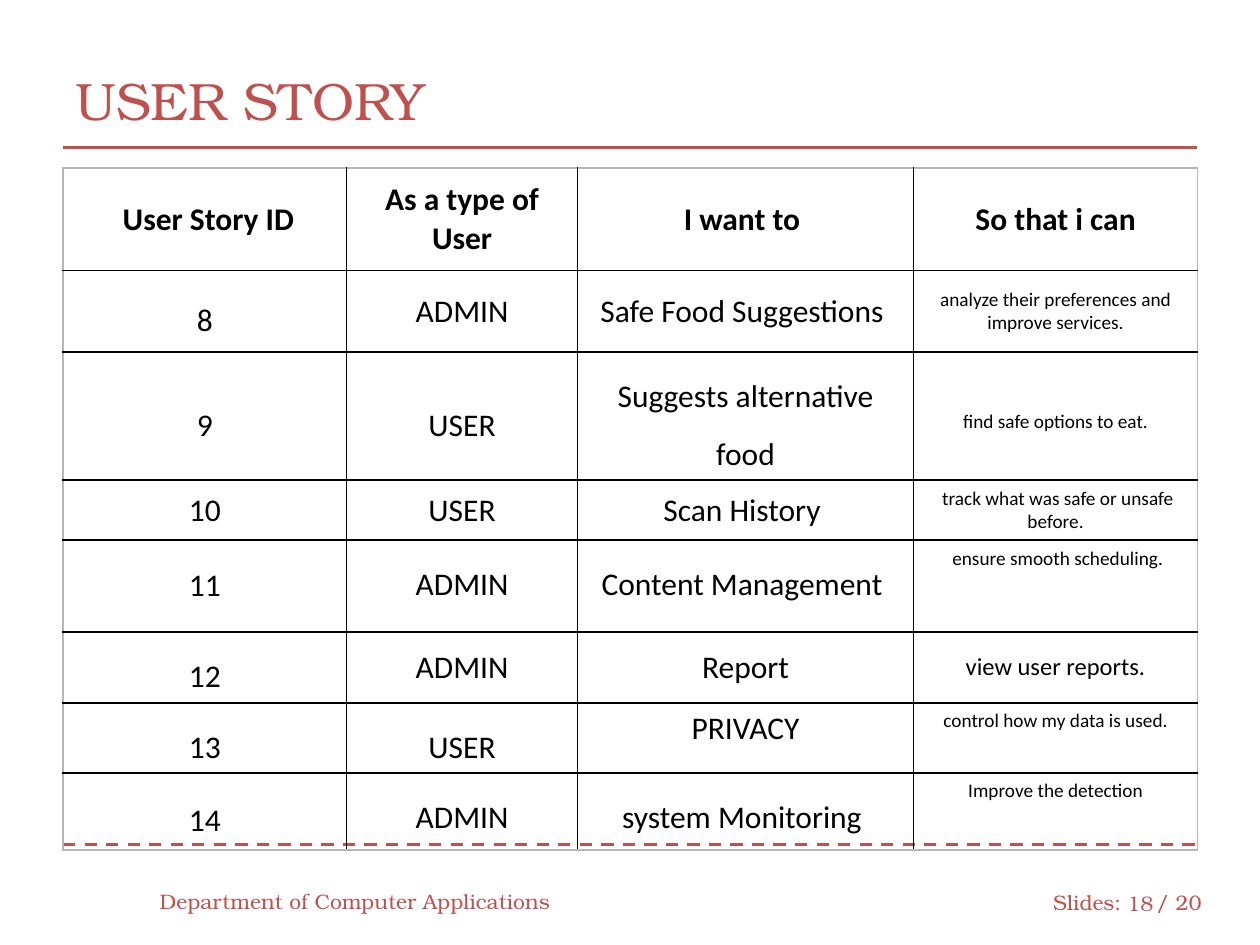
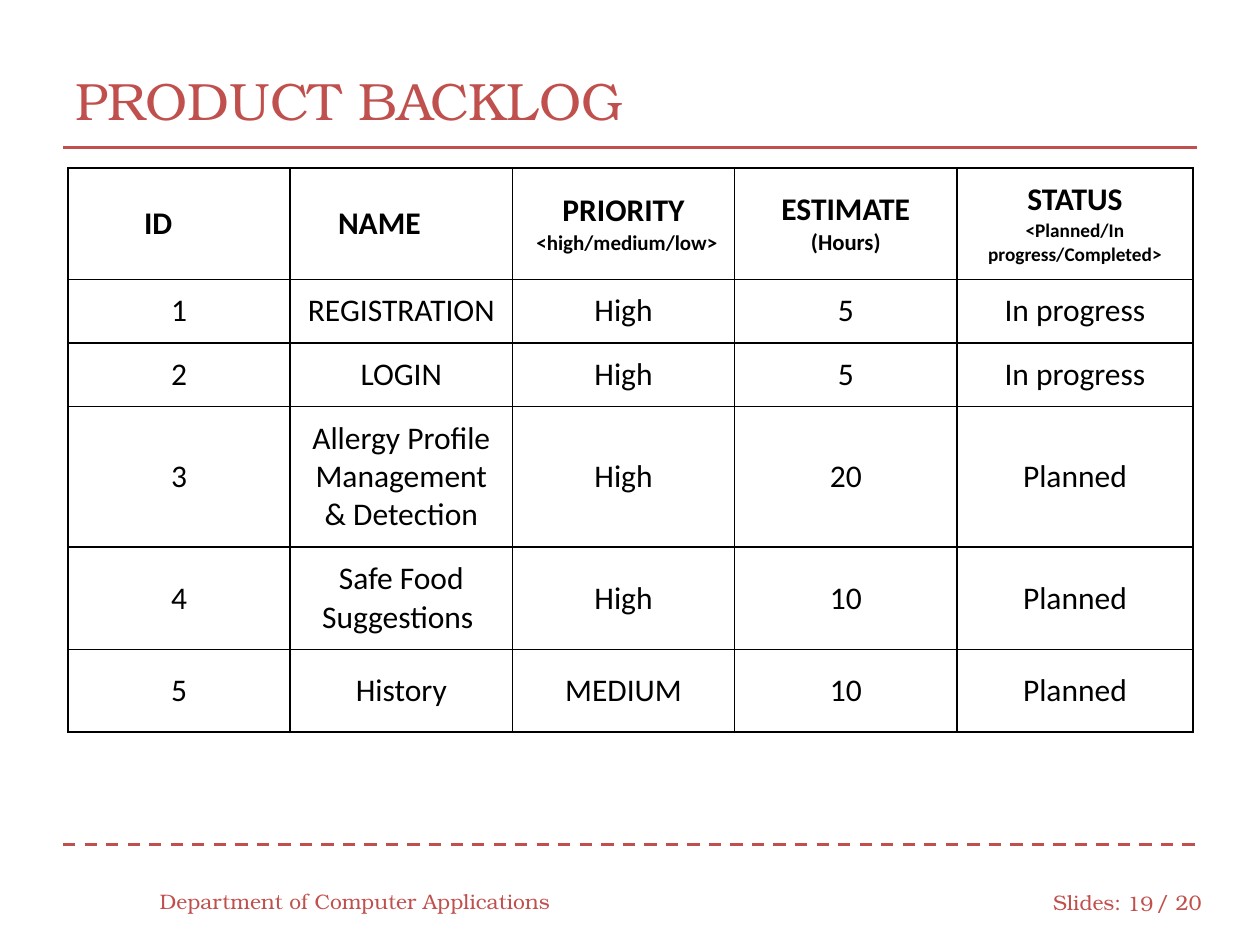
from dataclasses import dataclass

from lxml import etree
from pptx import Presentation, util as u
from pptx.dml.color import RGBColor
from pptx.enum import dml, shapes, text
from pptx.oxml.ns import qn

Cm, Pt = u.Cm, u.Pt
LEFT, CENTER, RIGHT = text.PP_ALIGN.LEFT, text.PP_ALIGN.CENTER, text.PP_ALIGN.RIGHT
TOP, MIDDLE = text.MSO_ANCHOR.TOP, text.MSO_ANCHOR.MIDDLE


# Theme: colours, fonts and type sizes
@dataclass(frozen=True)
class Theme:
    accent: str = "C0504D"
    ink: str = "000000"
    frame: str = "B7B7B7"
    paper: str = "FFFFFF"
    display: str = "TeX Gyre Bonum"
    body: str = "Calibri"
    title: int = 30
    cell: int = 18
    medium: int = 14
    hours: int = 13
    footer: int = 12
    small: int = 11
    rule: float = 1.75
    border: float = 1


@dataclass
class Para:
    """One paragraph of a table cell."""
    text: str
    size: int = Theme.cell
    bold: bool = False
    align: text.PP_ALIGN = CENTER
    spacing: float = 1
    indent: float = 0
    anchor: text.MSO_ANCHOR = MIDDLE


def write(p, words, *, font, size, color, bold=False, align=LEFT, spacing=1, indent=0):
    """Put formatted words into a paragraph."""
    p.alignment, p.line_spacing = align, spacing
    if indent:
        pPr = p._p.get_or_add_pPr()
        pPr.set("marL", str(Cm(indent)))
        pPr.set("indent", "0")
    r = p.add_run()
    r.text = words
    r.font.name, r.font.size, r.font.bold = font, Pt(size), bold
    r.font.color.rgb = RGBColor.from_string(color)


def set_border(cell, side, color, width):
    tcPr = cell._tc.get_or_add_tcPr()
    ln = etree.Element(qn(f"a:{side}"), w=str(Pt(width)))
    fill = etree.SubElement(ln, qn("a:solidFill"))
    etree.SubElement(fill, qn("a:srgbClr"), val=color)
    # Borders come before the fill, in the order L, R, T, B
    lines = [e for e in tcPr if e.tag.startswith(qn("a:ln"))]
    tcPr.insert(len(lines), ln)


class Deck:
    def __init__(self, theme):
        self.theme = theme
        self.prs = Presentation()
        self.prs.slide_width, self.prs.slide_height = Cm(25.4), Cm(19.05)
        self.s = None

    def text(self, words, x, y, w, h, size, align=LEFT):
        sp = self.s.shapes.add_textbox(Cm(x), Cm(y), Cm(w), Cm(h))
        tf = sp.text_frame
        tf.word_wrap, tf.vertical_anchor = True, MIDDLE
        write(tf.paragraphs[0], words, font=self.theme.display, size=size,
              color=self.theme.accent, align=align)

    def rule(self, y, dash=None):
        line = self.s.shapes.add_connector(
            shapes.MSO_CONNECTOR.STRAIGHT, Cm(1.27), Cm(y), Cm(24.13), Cm(y))
        line.line.color.rgb = RGBColor.from_string(self.theme.accent)
        line.line.width = Pt(self.theme.rule)
        if dash:
            line.line.dash_style = dash
        etree.SubElement(line._element.spPr, qn("a:effectLst"))

    def slide(self, title, number):
        """Start a slide with its title, rules and footer."""
        self.s = self.prs.slides.add_slide(self.prs.slide_layouts[6])
        size = self.theme.footer
        self.text("Slides:", 20.98, 17.68, 1.91, 1.02, size)
        self.text("/ 20", 23.06, 17.68, 1.47, 1.02, size)
        self.rule(17.02, dml.MSO_LINE.DASH)
        self.rule(2.97)
        self.text(title, 1.27, 0.84, 22.86, 2.34, self.theme.title)
        self.text("Department of Computer Applications", 2.97, 17.65, 8.46, 1.02, size)
        self.text(str(number), 22.43, 17.7, 1.07, 1.02, size, RIGHT)

    def table(self, x, y, widths, heights, rows, frame, fill=None, body_margin=0.25):
        """Draw rows of cells; a cell is a string, a Para or a list of Paras."""
        tbl = self.s.shapes.add_table(
            len(rows), len(widths), Cm(x), Cm(y), Cm(sum(widths)), Cm(sum(heights))).table
        tbl.first_row = tbl.horz_banding = False
        for column, width in zip(tbl.columns, widths):
            column.width = Cm(width)
        for row, height in zip(tbl.rows, heights):
            row.height = Cm(height)
        for i, row in enumerate(rows):
            for j, content in enumerate(row):
                cell = tbl.cell(i, j)
                cell.margin_top = cell.margin_bottom = Cm(body_margin if i else 0.25)
                self.fill_cell(cell, content, fill)
                edges = {"lnL": j == 0, "lnR": j == len(widths) - 1,
                         "lnT": i == 0, "lnB": i == len(rows) - 1}
                for side, outer in edges.items():
                    set_border(cell, side, frame if outer else self.theme.ink,
                               self.theme.border)

    def fill_cell(self, cell, content, fill):
        paras = content if isinstance(content, list) else [content]
        paras = [Para(p) if isinstance(p, str) else p for p in paras]
        cell.vertical_anchor = paras[0].anchor
        if fill:
            cell.fill.solid()
            cell.fill.fore_color.rgb = RGBColor.from_string(fill)
        else:
            cell.fill.background()
        tf = cell.text_frame
        for k, para in enumerate(paras):
            p = tf.add_paragraph() if k else tf.paragraphs[0]
            write(p, para.text, font=self.theme.body, size=para.size,
                  color=self.theme.ink, bold=para.bold, align=para.align,
                  spacing=para.spacing, indent=para.indent)


# Kinds of cell text
def head(words, size=Theme.cell, **fmt):
    return Para(words, size, bold=True, **fmt)


def loose(words, size=Theme.cell, **fmt):
    return Para(words, size, spacing=1.5, **fmt)


def small(words, **fmt):
    return Para(words, Theme.small, **fmt)


def user_story(deck):
    deck.slide("USER STORY", 18)
    rows = [
        [head(" User Story ID"), head("As a type of User"), head("I want to "),
         head("So that i can")],
        [loose("8"), "ADMIN", "Safe Food Suggestions ",
         small("analyze their preferences and improve services.")],
        [loose("9"), loose("USER"), loose("Suggests alternative food"),
         loose("find safe options to eat.", Theme.small)],
        ["10", "USER", "Scan History ", small(" track what was safe or unsafe before.")],
        ["11", loose("ADMIN", anchor=TOP), loose("Content Management ", anchor=TOP),
         small(" ensure smooth scheduling.", anchor=TOP)],
        [loose("12"), "ADMIN", "Report", Para("view user reports.", Theme.medium)],
        [loose("13"), loose("USER", anchor=TOP), Para("PRIVACY", anchor=TOP),
         small("control how my data is used.", anchor=TOP)],
        [loose("14"), loose("ADMIN", anchor=TOP), loose("system Monitoring ", anchor=TOP),
         small("Improve the detection", anchor=TOP)],
    ]
    deck.table(1.27, 3.39, [5.72, 4.65, 6.78, 5.72],
               [2.06, 1.65, 2.58, 1.21, 1.85, 1.43, 1.41, 1.55],
               rows, deck.theme.frame, body_margin=0.13)


def product_backlog(deck):
    deck.slide("PRODUCT BACKLOG", 19)
    rows = [
        [head("ID", align=LEFT, indent=1.28),
         head("NAME", align=LEFT, indent=0.71),
         [head("PRIORITY"),
          head("<high/medium/low>", Theme.footer, align=LEFT, indent=0.23)],
         [head("ESTIMATE"), head("(Hours)", Theme.hours)],
         [head("STATUS"), head("<Planned/In progress/Completed>", Theme.small)]],
        ["1", "REGISTRATION", "High", "5", "In progress"],
        ["2", "LOGIN", "High", "5", "In progress"],
        ["3", "Allergy Profile Management & Detection", "High", "20", "Planned"],
        ["4", "Safe Food Suggestions ", "High", "10", "Planned"],
        ["5", "History", "MEDIUM", "10", "Planned"],
    ]
    deck.table(1.37, 3.39, [4.48] * 4 + [4.76], [2.24, 1.28, 1.28, 2.84, 2.06, 1.67],
               rows, deck.theme.ink, fill=deck.theme.paper)


def main():
    deck = Deck(Theme())
    user_story(deck)
    product_backlog(deck)
    deck.prs.save("out.pptx")


if __name__ == "__main__":
    main()
